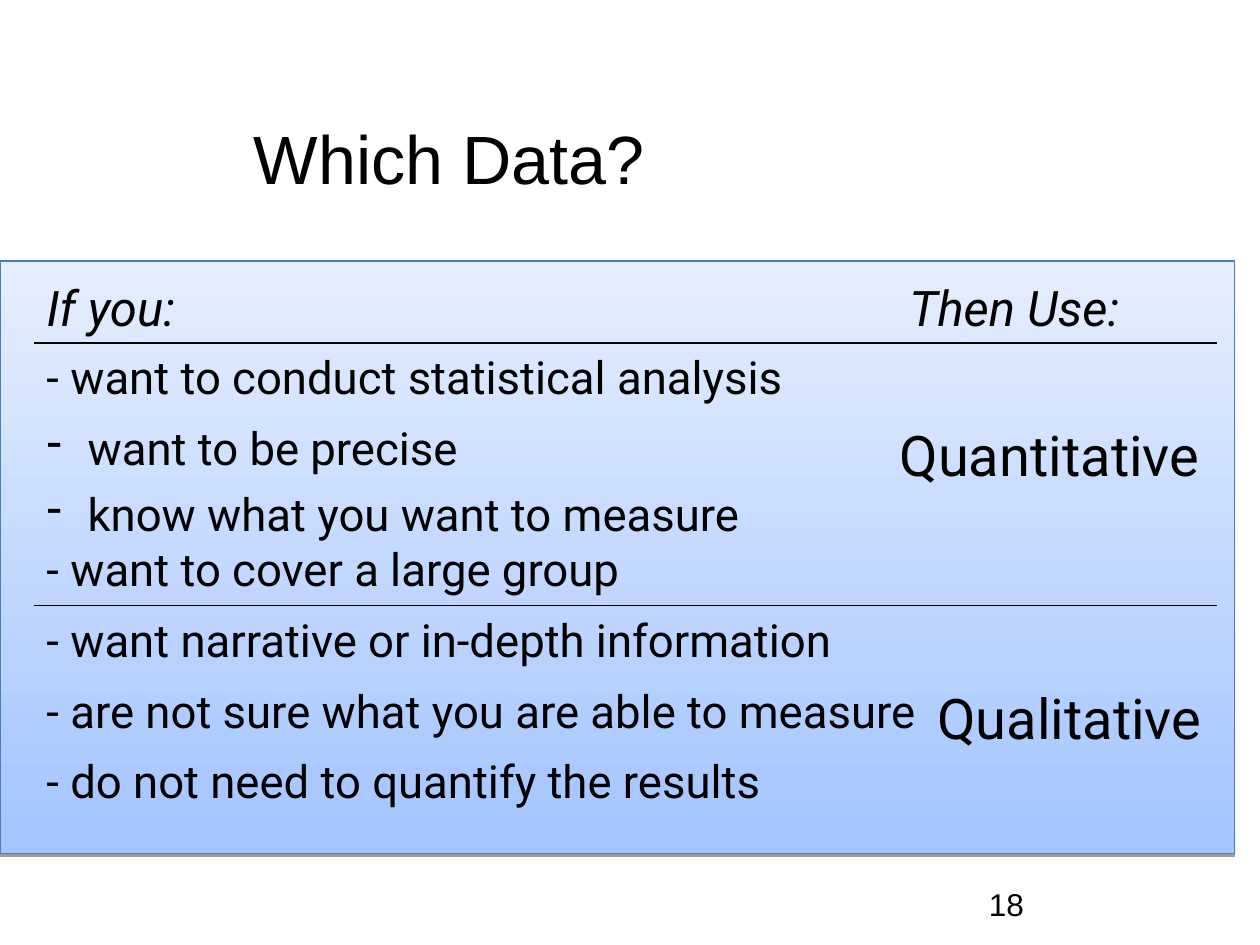
from dataclasses import dataclass

from lxml.etree import SubElement
from pptx import Presentation
from pptx.dml.color import RGBColor
from pptx.enum.shapes import MSO_CONNECTOR, MSO_SHAPE
from pptx.enum.text import MSO_ANCHOR
from pptx.oxml.ns import qn
from pptx.slide import Slide
from pptx.util import Pt


def color(hex_string):
    return RGBColor.from_string(hex_string)


@dataclass
class DataChoiceSlide:
    """Style and drawing methods for the data choice slide."""

    slide: Slide
    ink: str = "000000"
    body_font: str = "Roboto"
    title_font: str = "Arial"

    def panel(self, left, top, width, height, bottom_color, top_color, edge):
        panel = self.slide.shapes.add_shape(
            MSO_SHAPE.RECTANGLE, Pt(left), Pt(top), Pt(width), Pt(height))
        panel.fill.gradient()
        panel.fill.gradient_angle = 90
        for stop, shade in zip(panel.fill.gradient_stops, (bottom_color, top_color)):
            stop.color.rgb = color(shade)
        panel.line.color.rgb = color(edge)
        panel.line.width = Pt(0.75)
        panel.shadow.inherit = False
        effects = panel.element.spPr.find(qn("a:effectLst"))
        shadow = SubElement(effects, qn("a:outerShdw"), blurRad="0",
                            dist=str(Pt(1.6)), dir="5400000", rotWithShape="0")
        shade = SubElement(shadow, qn("a:srgbClr"), val=self.ink)
        SubElement(shade, qn("a:alpha"), val="38000")

    def text(self, left, top, width, height, lines, size, font=None, italic=False,
             anchor=MSO_ANCHOR.TOP, spacing=None, gap=0, hanging=0):
        frame = self.slide.shapes.add_textbox(
            Pt(left), Pt(top), Pt(width), Pt(height)).text_frame
        frame.word_wrap = True
        frame.vertical_anchor = anchor
        for index, line in enumerate(lines):
            paragraph = frame.add_paragraph() if index else frame.paragraphs[0]
            if hanging:
                self.dash(paragraph, hanging)
            paragraph.space_before = Pt(gap if index else 0)
            if spacing:
                paragraph.line_spacing = spacing
            run = paragraph.add_run()
            run.text = line
            run.font.name = font or self.body_font
            run.font.size = Pt(size)
            run.font.italic = italic
            run.font.color.rgb = color(self.ink)

    def dash(self, paragraph, hanging):
        properties = paragraph._p.get_or_add_pPr()
        properties.set("marL", str(Pt(hanging)))
        properties.set("indent", str(-Pt(hanging)))
        SubElement(properties, qn("a:buChar"), char="-")

    def rule(self, left, right, y):
        rule = self.slide.shapes.add_connector(
            MSO_CONNECTOR.STRAIGHT, Pt(left), Pt(y), Pt(right), Pt(y))
        rule.line.color.rgb = color(self.ink)
        rule.line.width = Pt(1)
        SubElement(rule.element.spPr, qn("a:effectLst"))


def main():
    deck = Presentation()
    deck.slide_width, deck.slide_height = Pt(720), Pt(540)
    page = DataChoiceSlide(deck.slides.add_slide(deck.slide_layouts[6]))

    left, right, row_width, row_height = 19.5, 695.5, 483, 40.5
    header_top, quantitative_top, qualitative_top = 155, 196, 346

    page.panel(0, 149.25, 705.5, 338.5, "A3C4FF", "E5EEFF", "4A7EBB")
    page.text(138, 48, 528, 90, ["Which Data?"], 39, page.title_font,
              anchor=MSO_ANCHOR.MIDDLE, spacing=0.9)

    page.text(left, header_top, row_width, row_height, ["If you:"], 28, italic=True)
    page.text(512.5, header_top, 183.5, row_height, ["Then Use:"], 28, italic=True)

    single_rows = [
        (quantitative_top, "- want to conduct statistical analysis"),
        (305.5, "- want to cover a large group"),
        (qualitative_top, "- want narrative or in-depth information"),
        (qualitative_top + row_height, "- are not sure what you are able to measure"),
        (qualitative_top + 2 * row_height, "- do not need to quantify the results"),
    ]
    for top, reason in single_rows:
        page.text(left, top, 521, row_height, [reason], 26)
    page.text(left, quantitative_top + row_height, row_width, 70,
              ["want to be precise", "know what you want to measure"], 26,
              gap=6.5, hanging=23.5)

    answers = [(507, quantitative_top, "Quantitative"),
               (528.5, qualitative_top, "Qualitative")]
    for answer_left, section_top, answer in answers:
        page.text(answer_left, section_top + 41, 190, 45, [answer], 32)
        page.rule(left, right, section_top)

    page.text(558, 502.5, 161, 28, ["18"], 18, page.title_font,
              anchor=MSO_ANCHOR.MIDDLE)
    deck.save("out.pptx")


if __name__ == "__main__":
    main()
